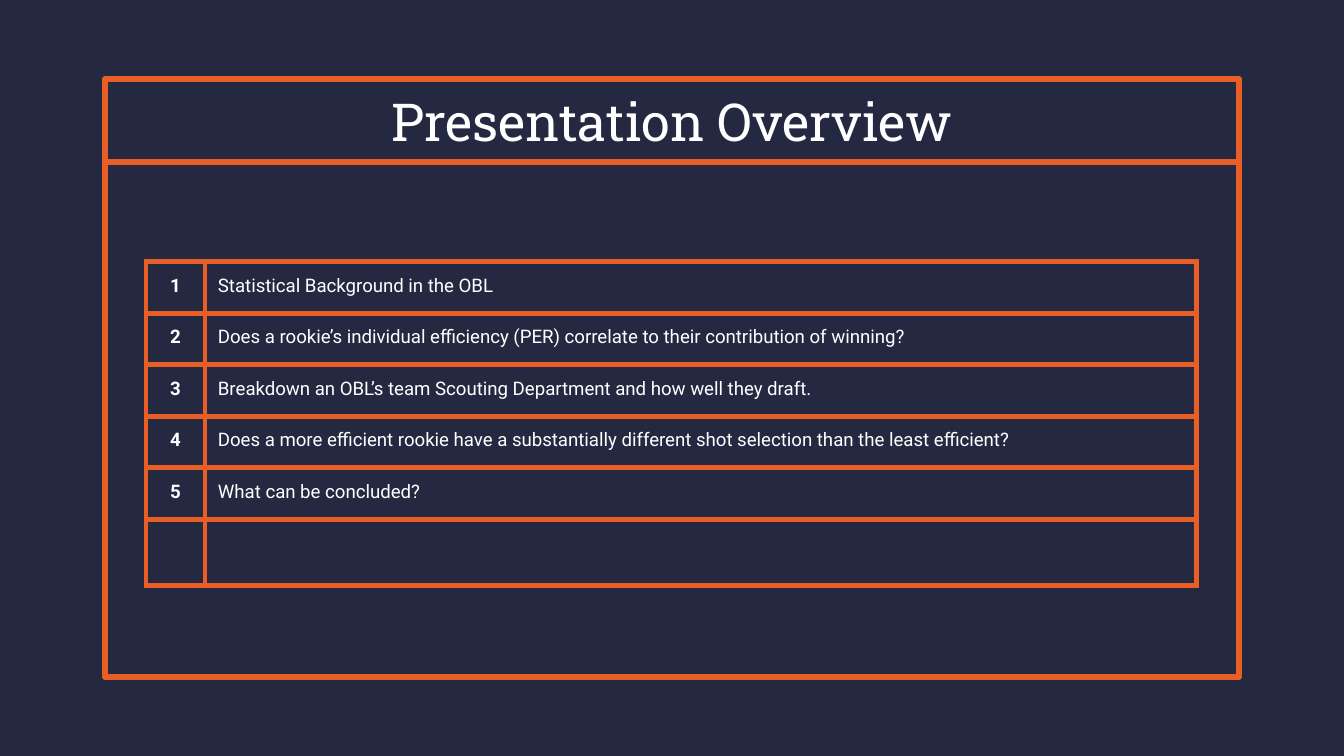
from lxml import etree
from pptx import Presentation
from pptx.dml.color import RGBColor
from pptx.enum.shapes import MSO_CONNECTOR, MSO_SHAPE
from pptx.enum.text import MSO_ANCHOR, PP_ALIGN
from pptx.oxml.ns import qn
from pptx.util import Emu, Pt

RECTANGLE = MSO_SHAPE.RECTANGLE
STRAIGHT = MSO_CONNECTOR.STRAIGHT
MIDDLE = MSO_ANCHOR.MIDDLE
LEFT = PP_ALIGN.LEFT
CENTER = PP_ALIGN.CENTER

EMU_PER_PX = 914400 / 134.4
COLORS = {"navy": "242841", "orange": "E95E24", "white": "FFFFFF"}
BORDER = Pt(3)
BORDER_SIDES = ("a:lnL", "a:lnR", "a:lnT", "a:lnB")
TITLE_HEIGHT = 84
TOPICS = [
    ("1", "Statistical Background in the OBL"),
    ("2", "Does a rookie’s individual efficiency (PER) correlate to their contribution of winning?"),
    ("3", "Breakdown an OBL’s team Scouting Department and how well they draft."),
    ("4", "Does a more efficient rookie have a substantially different shot selection than the least efficient?"),
    ("5", "What can be concluded?"),
    ("", ""),
]


def px(length):
    return Emu(round(length * EMU_PER_PX))


def color(name):
    return RGBColor.from_string(COLORS[name])


def style_line(line):
    line.color.rgb = color("orange")
    line.width = BORDER


def set_margins(target):
    target.margin_left = target.margin_right = px(13)
    target.margin_top = target.margin_bottom = px(13)


def write(para, text, font, size, align, bold=False):
    para.alignment = align
    span = para.add_run()
    span.text = text
    span.font.name = font
    span.font.size = Pt(size)
    span.font.bold = bold
    span.font.color.rgb = color("white")


def add_frame(page, left, top, width, height):
    frame = page.shapes.add_shape(RECTANGLE, px(left), px(top), px(width), px(height))
    frame.shadow.inherit = False
    frame.fill.background()
    style_line(frame.line)

    rule_top = px(top + TITLE_HEIGHT - 1)
    rule = page.shapes.add_connector(
        STRAIGHT, px(left + 2), rule_top, px(left + width - 2), rule_top
    )
    style_line(rule.line)
    etree.SubElement(rule._element.spPr, qn("a:effectLst"))


def add_title(page, left, top, width, height):
    box = page.shapes.add_textbox(px(left), px(top), px(width), px(height))
    text = box.text_frame
    text.word_wrap = True
    text.vertical_anchor = MIDDLE
    set_margins(text)
    write(text.paragraphs[0], "Presentation Overview", "Roboto Slab", 28, CENTER)


def style_cell(cell):
    set_margins(cell)
    cell.fill.background()
    properties = cell._tc.get_or_add_tcPr()
    for position, side in enumerate(BORDER_SIDES):
        border = etree.Element(qn(side), w=str(BORDER))
        fill = etree.SubElement(border, qn("a:solidFill"))
        etree.SubElement(fill, qn("a:srgbClr"), val=COLORS["orange"])
        properties.insert(position, border)


def add_topics(page, left, top, width, height, number_width=59):
    table = page.shapes.add_table(
        len(TOPICS), 2, px(left), px(top), px(width), px(height)
    ).table
    table.first_row = False
    table.horz_banding = False
    table.columns[0].width = px(number_width)
    table.columns[1].width = px(width - number_width)
    for row, (number, topic) in zip(table.rows, TOPICS):
        row.height = px(height / len(TOPICS))
        for cell in row.cells:
            style_cell(cell)
        number_cell, topic_cell = row.cells
        write(number_cell.text_frame.paragraphs[0], number, "Roboto", 10, CENTER, True)
        write(topic_cell.text_frame.paragraphs[0], topic, "Roboto", 10, LEFT)


def main():
    deck = Presentation()
    deck.slide_width = px(1344)
    deck.slide_height = px(756)
    page = deck.slides.add_slide(deck.slide_layouts[6])
    page.background.fill.solid()
    page.background.fill.fore_color.rgb = color("navy")
    add_frame(page, 105, 79, 1134, 598)
    add_title(page, 105, 79, 1134, TITLE_HEIGHT)
    add_topics(page, 146, 262, 1051, 309)
    deck.save("out.pptx")


if __name__ == "__main__":
    main()
